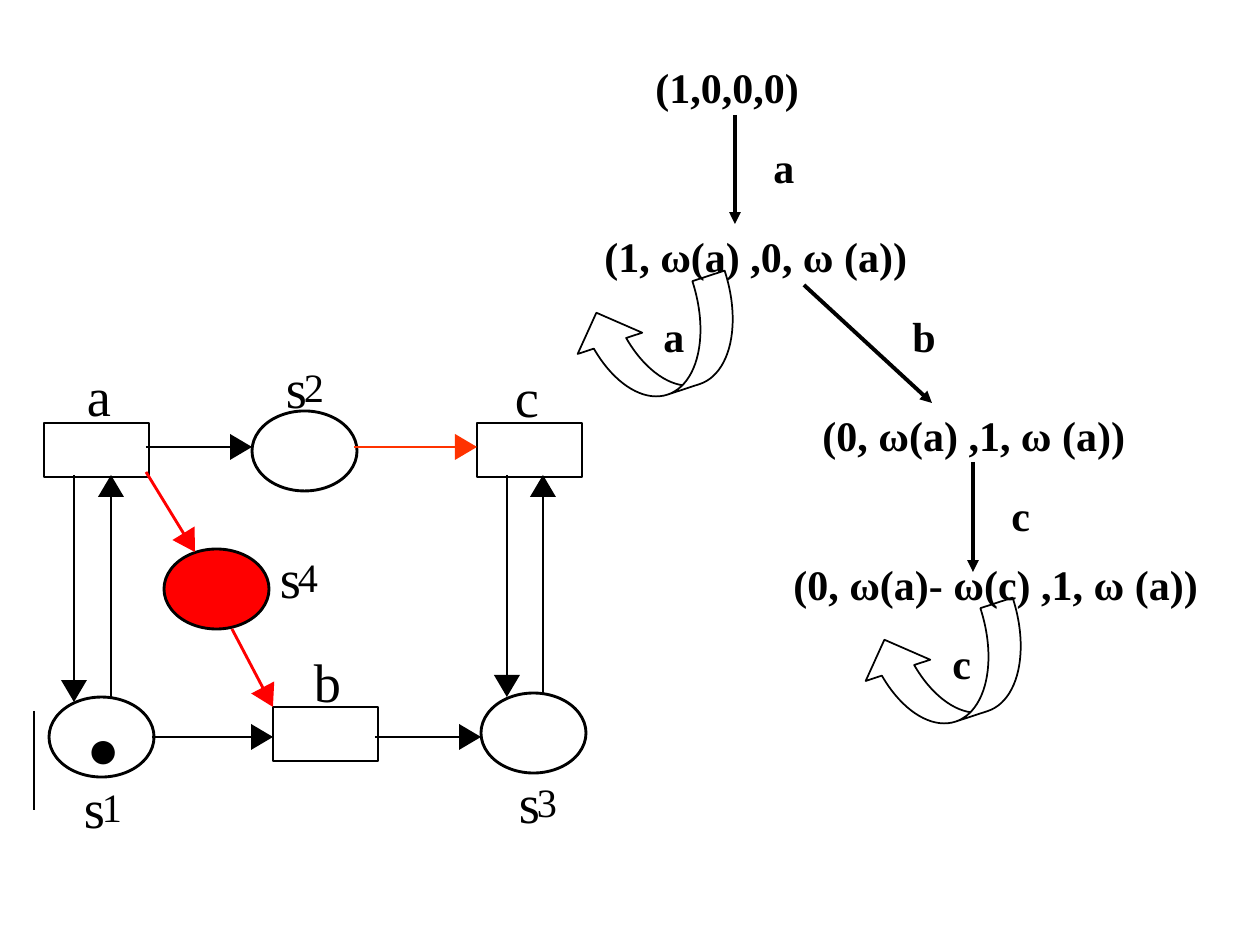
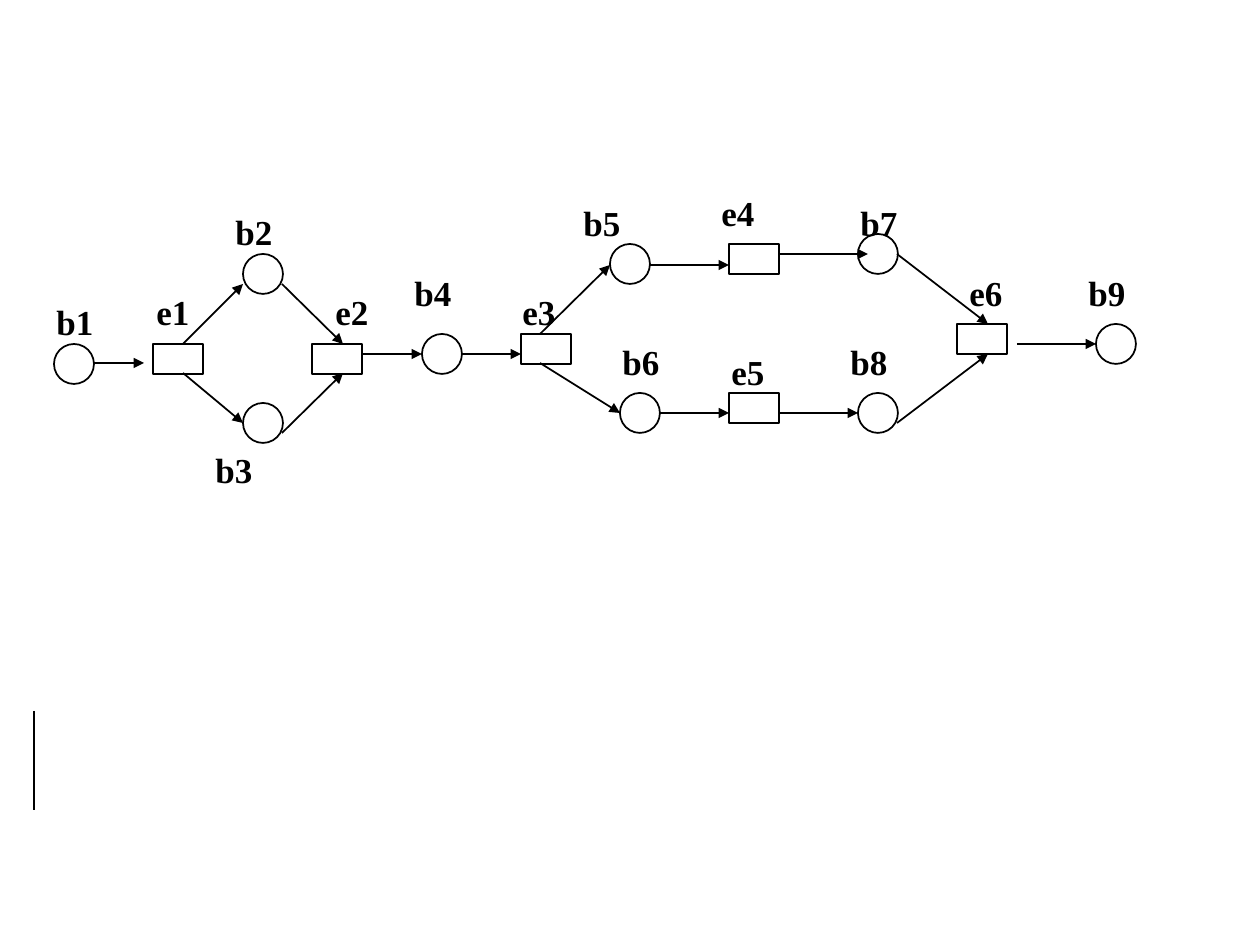
import dataclasses
import math

import pptx
import pptx.dml.color
import pptx.enum.shapes
import pptx.enum.text
import pptx.oxml.ns
import pptx.util
from lxml import etree

SHAPE = pptx.enum.shapes.MSO_SHAPE
FIT = pptx.enum.text.MSO_AUTO_SIZE
RGB = pptx.dml.color.RGBColor.from_string


@dataclasses.dataclass(frozen=True)
class Theme:
    ink: str = "000000"
    paper: str = "FFFFFF"
    red: str = "FF0000"
    orange: str = "FF3300"
    font: str = "Times New Roman"
    symbol_font: str = "Arial"
    marking: int = 24
    net: int = 31
    subscript: int = 23
    event: int = 20
    thin: float = 1
    medium: float = 1.63
    thick: float = 2.25


@dataclasses.dataclass(frozen=True)
class Box:
    x: int
    y: int

    def at(self, x, y):
        return px(self.x + x), px(self.y + y)


T = Theme()
TREE_TEXT = {"size": pptx.util.Pt(T.marking), "name": T.font, "bold": True}
NET_TEXT = {"size": pptx.util.Pt(T.net), "name": T.font, "bold": False}
SUB_TEXT = {**NET_TEXT, "size": pptx.util.Pt(T.subscript)}
TOKEN_TEXT = {**NET_TEXT, "name": T.symbol_font}
EVENT_TEXT = {**TREE_TEXT, "size": pptx.util.Pt(T.event)}


def px(n):
    return round(n * 914400 / 126)


def set_all(obj, values):
    for key, value in values.items():
        setattr(obj, key, value)


def paint(sp, fill, line, width):
    sp.shadow.inherit = False
    if fill:
        sp.fill.solid()
        sp.fill.fore_color.rgb = RGB(fill)
    else:
        sp.fill.background()
    if line:
        sp.line.color.rgb = RGB(line)
        sp.line.width = pptx.util.Pt(width)
    else:
        sp.line.fill.background()


def add_node(s, box, kind, x, y, w, h, fill=None, width=T.thin):
    sp = s.shapes.add_shape(kind, *box.at(x, y), px(w), px(h))
    paint(sp, fill, T.ink, width)
    return sp


def add_line(s, box, x1, y1, x2, y2, width=T.thin, color=T.ink, arrow=False):
    sp = s.shapes.add_connector(
        pptx.enum.shapes.MSO_CONNECTOR.STRAIGHT, *box.at(x1, y1), *box.at(x2, y2))
    sp.line.color.rgb = RGB(color)
    sp.line.width = pptx.util.Pt(width)
    qn = pptx.oxml.ns.qn
    if arrow:
        etree.SubElement(sp.line._get_or_add_ln(), qn("a:tailEnd"), type="triangle")
    etree.SubElement(sp._element.spPr, qn("a:effectLst"))
    return sp


def add_bold_arrow(s, box, x1, y1, x2, y2, color=T.ink):
    length, half, overlap = 22, 13, 4
    span = math.hypot(x2 - x1, y2 - y1)
    ux, uy = (x2 - x1) / span, (y2 - y1) / span
    bx, by = x2 - length * ux, y2 - length * uy
    add_line(s, box, x1, y1, bx + overlap * ux, by + overlap * uy, T.medium, color)
    builder = s.shapes.build_freeform(*box.at(bx - half * uy, by + half * ux))
    builder.add_line_segments(
        [box.at(x2, y2), box.at(bx + half * uy, by - half * ux)], close=True)
    paint(builder.convert_to_shape(), color, None, 0)


def add_text(s, box, x, y, w, h, text, font, margins=(0, 0), indent=None, **frame):
    sp = s.shapes.add_textbox(*box.at(x, y), px(w), px(h))
    tf = sp.text_frame
    mx, my = (pptx.util.Inches(m) for m in margins)
    set_all(tf, {"margin_left": mx, "margin_right": mx,
                 "margin_top": my, "margin_bottom": my, **frame})
    p = tf.paragraphs[0]
    if indent:
        pPr = p._p.get_or_add_pPr()
        for key, value in zip(("marL", "indent"), indent):
            pPr.set(key, str(pptx.util.Inches(value)))
    r = p.add_run()
    r.text = text
    set_all(r.font, font)
    r.font.color.rgb = RGB(T.ink)


def draw_marking_tree(s, box):
    for x, y, w, text in (
        (51, 0, 297, "(1,0,0,0)"),
        (0, 169, 486, "(1, ω(a) ,0, ω (a))"),
        (218, 348, 486, "(0, ω(a) ,1, ω (a))"),
        (189, 497, 605, "(0, ω(a)- ω(c) ,1, ω (a))"),
        (169, 80, 218, "a"),
        (59, 249, 218, "a"),
        (308, 249, 218, "b"),
        (407, 428, 218, "c"),
        (348, 576, 218, "c"),
    ):
        add_text(s, box, x, y, w, 63, text, TREE_TEXT, (0.1, 0.05), (1.25, -0.25),
                 word_wrap=True, auto_size=FIT.SHAPE_TO_FIT_TEXT)
    for ends in ((269, 60, 269, 169), (338, 230, 466, 348), (507, 407, 507, 517)):
        add_line(s, box, *ends, T.thick, arrow=True)
    for x, y in ((144, 205), (432, 532)):
        loop = add_node(s, box, SHAPE.CURVED_LEFT_ARROW, x, y, 100, 169)
        loop.rotation = 71.8
        for i, value in enumerate((0.34, 0.68, 0.333)):
            loop.adjustments[i] = value


def draw_net(s, box):
    for x, y in ((0, 69), (433, 69), (229, 353)):
        add_node(s, box, SHAPE.RECTANGLE, x, y, 105, 54, T.paper, T.medium)
    for x, y, fill in ((5, 343, T.paper), (208, 57, T.paper),
                       (437, 339, T.paper), (120, 195, T.red)):
        add_node(s, box, SHAPE.OVAL, x, y, 105, 80, fill, T.medium)
    arrows = {
        T.ink: ((102, 93, 208, 93), (463, 121, 463, 343), (499, 339, 499, 121),
                (108, 383, 229, 383), (331, 383, 437, 383),
                (30, 121, 30, 348), (67, 343, 67, 121)),
        T.orange: ((310, 93, 433, 93),),
        T.red: ((102, 118, 151, 198), (188, 275, 229, 353)),
    }
    for color, group in arrows.items():
        for ends in group:
            add_bold_arrow(s, box, *ends, color)
    frame = {"word_wrap": False, "auto_size": FIT.SHAPE_TO_FIT_TEXT}
    for x, y, w, text in ((43, 8, 24, "a"), (270, 294, 28, "b"), (471, 9, 24, "c")):
        add_text(s, box, x, y, w, 65, text, NET_TEXT, **frame)
    for x, y, number in ((40, 420, "1"), (242, 0, "2"), (475, 415, "3"), (236, 190, "4")):
        add_text(s, box, x, y, 21, 65, "s", NET_TEXT, **frame)
        add_text(s, box, x + 18, y + 8, 20, 48, number, SUB_TEXT, **frame)
    add_text(s, box, 43, 360, 40, 65, "●", TOKEN_TEXT, **frame)


def draw_occurrence_net(s, box):
    events = {
        "e1": (109, 159, 100, 99), "e2": (268, 159, 279, 99),
        "e3": (477, 149, 466, 99), "e4": (685, 59, 665, 0),
        "e5": (685, 208, 675, 159), "e6": (913, 139, 913, 80),
    }
    conditions = {
        "b1": (10, 159, 0, 109), "b2": (199, 69, 179, 19),
        "b3": (199, 218, 159, 257), "b4": (378, 149, 358, 80),
        "b5": (566, 59, 527, 10), "b6": (576, 208, 566, 149),
        "b7": (814, 49, 804, 10), "b8": (814, 208, 794, 149),
        "b9": (1052, 139, 1032, 80),
    }
    for nodes, kind, w, h in ((events, SHAPE.RECTANGLE, 50, 30),
                              (conditions, SHAPE.OVAL, 40, 40)):
        for name, (x, y, label_x, label_y) in nodes.items():
            add_node(s, box, kind, x, y, w, h)
            add_text(s, box, label_x, label_y, 79, 59, name, EVENT_TEXT,
                     (0.1, 0.05), (0.38, -0.38), word_wrap=True)
    for ends in (
        (50, 178, 100, 178), (139, 159, 199, 99), (139, 188, 199, 238),
        (238, 99, 299, 159), (238, 248, 299, 188), (318, 169, 378, 169),
        (417, 169, 477, 169), (496, 149, 566, 80), (496, 178, 576, 228),
        (606, 80, 685, 80), (616, 228, 685, 228), (735, 228, 814, 228),
        (735, 69, 824, 69), (853, 69, 944, 139), (853, 238, 944, 169),
        (973, 159, 1052, 159),
    ):
        add_line(s, box, *ends, arrow=True)


def add_master_rule(prs, s):
    rule = add_line(s, Box(34, 711), 0, 0, 0, 99)
    prs.slide_master.shapes._spTree.append(rule._element)


def main():
    prs = pptx.Presentation()
    set_all(prs, {"slide_width": px(1260), "slide_height": px(945)})
    blank = prs.slide_layouts[6]
    s = prs.slides.add_slide(blank)
    add_master_rule(prs, s)
    draw_marking_tree(s, Box(466, 55))
    draw_net(s, Box(44, 354))
    draw_occurrence_net(prs.slides.add_slide(blank), Box(44, 185))
    prs.save("out.pptx")


if __name__ == "__main__":
    main()
